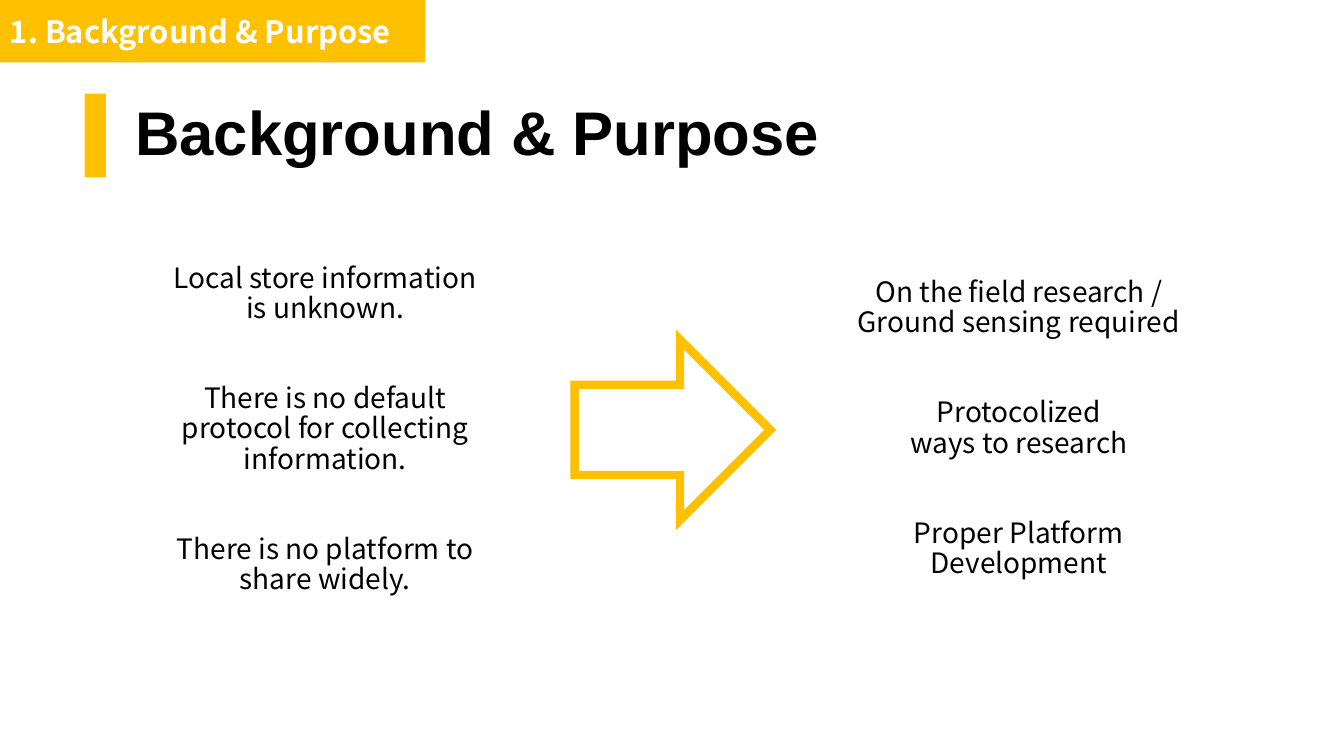
from lxml.etree import SubElement
from pptx import Presentation
from pptx.dml.color import RGBColor
from pptx.enum.shapes import MSO_SHAPE
from pptx.enum.text import MSO_ANCHOR, MSO_AUTO_SIZE, PP_ALIGN
from pptx.oxml.ns import qn
from pptx.util import Inches, Pt

AMBER, BLACK, WHITE = "FFC000", "000000", "FFFFFF"
SANS = "Noto Sans CJK KR"

PROBLEMS = [
    "Local store information is unknown.",
    "There is no default protocol for collecting information.",
    "There is no platform to share widely.",
]
RESPONSES = [
    "On the field research /\vGround sensing required",
    "Protocolized\vways to research",
    "Proper Platform Development",
]


def color(value):
    return RGBColor.from_string(value)


def set_values(target, values):
    for name, value in values.items():
        setattr(target, name, value)


class SlideBuilder:
    frame_format = {
        "margin_left": Inches(0.1), "margin_right": Inches(0.1),
        "margin_top": Inches(0.05), "margin_bottom": Inches(0.05),
        "word_wrap": True, "auto_size": MSO_AUTO_SIZE.NONE,
        "vertical_anchor": MSO_ANCHOR.MIDDLE,
    }
    title_font = {"name": "Arial", "size": Pt(44), "bold": True}
    badge_font = {"name": SANS, "size": Pt(22), "bold": True}
    list_font = {"name": SANS, "size": Pt(20), "bold": False}
    item_gap = Pt(43)

    def __init__(self, slide):
        self.slide = slide

    def place(self, shape, box):
        set_values(shape, dict(zip(("left", "top", "width", "height"), map(Inches, box))))

    def fill_text(self, shape, lines, font, font_color,
                  alignment=PP_ALIGN.LEFT, line_spacing=0.9, gap=0):
        frame = shape.text_frame
        set_values(frame, self.frame_format)
        frame.text = "\n".join(lines)
        for index, paragraph in enumerate(frame.paragraphs):
            set_values(paragraph, {
                "alignment": alignment,
                "line_spacing": line_spacing,
                "space_before": gap if index else Pt(0),
                "space_after": Pt(0),
            })
            properties = paragraph._p.get_or_add_pPr()
            properties.set("marL", "0")
            properties.set("indent", "0")
            SubElement(properties, qn("a:buNone"))
            set_values(paragraph.font, font)
            paragraph.font.color.rgb = color(font_color)

    def title(self, text, box):
        shape = self.slide.shapes.title
        self.place(shape, box)
        self.fill_text(shape, [text], self.title_font, BLACK)

    def item_list(self, placeholder_index, items, box):
        shape = self.slide.placeholders[placeholder_index]
        self.place(shape, box)
        self.fill_text(shape, items, self.list_font, BLACK, PP_ALIGN.CENTER, gap=self.item_gap)

    def bar(self, box):
        shape = self.slide.shapes.add_shape(MSO_SHAPE.RECTANGLE, *map(Inches, box))
        shape.shadow.inherit = False
        shape.fill.solid()
        shape.fill.fore_color.rgb = color(AMBER)
        shape.line.fill.background()
        return shape

    def badge(self, text, box):
        self.fill_text(self.bar(box), [text], self.badge_font, WHITE, line_spacing=1.0)

    def arrow(self, box):
        shape = self.slide.shapes.add_shape(MSO_SHAPE.RIGHT_ARROW, *map(Inches, box))
        shape.shadow.inherit = False
        shape.fill.background()
        shape.line.color.rgb = color(AMBER)
        shape.line.width = Pt(6)
        SubElement(shape.line._get_or_add_ln(), qn("a:miter"), lim="800000")


def main():
    presentation = Presentation()
    presentation.slide_width = Inches(13.33)
    presentation.slide_height = Inches(7.5)
    two_content = presentation.slide_layouts[3]
    builder = SlideBuilder(presentation.slides.add_slide(two_content))

    builder.arrow((5.7, 3.37, 1.94, 1.79))
    builder.item_list(1, PROBLEMS, (1.51, 2.53, 3.43, 3.47))
    builder.item_list(2, RESPONSES, (8.39, 2.08, 3.43, 4.35))
    builder.badge("1. Background & Purpose", (0, 0, 4.22, 0.62))
    builder.title("Background & Purpose", (1.24, 0.62, 11.5, 1.45))
    builder.bar((0.84, 0.93, 0.21, 0.83))

    presentation.save("out.pptx")


if __name__ == "__main__":
    main()
